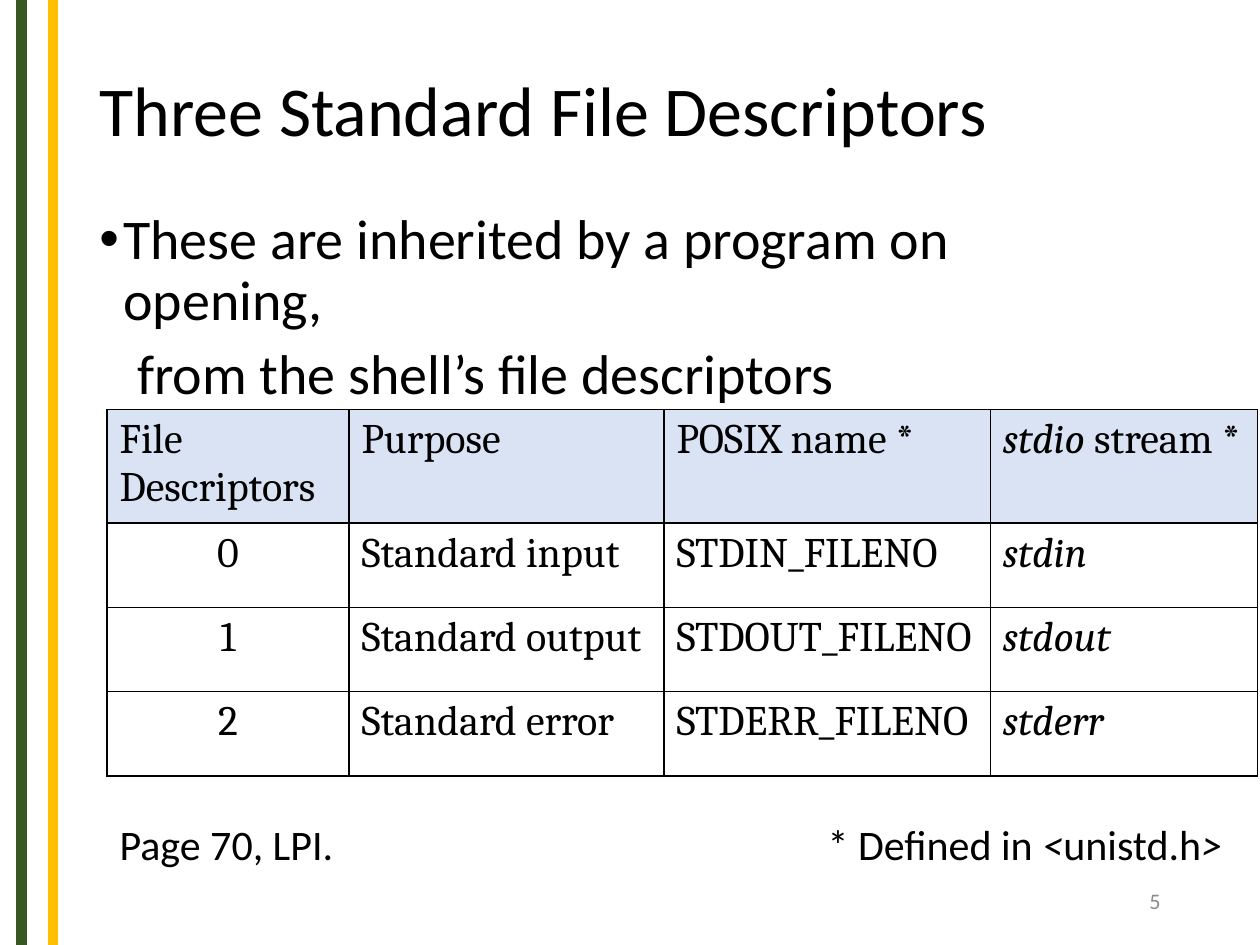
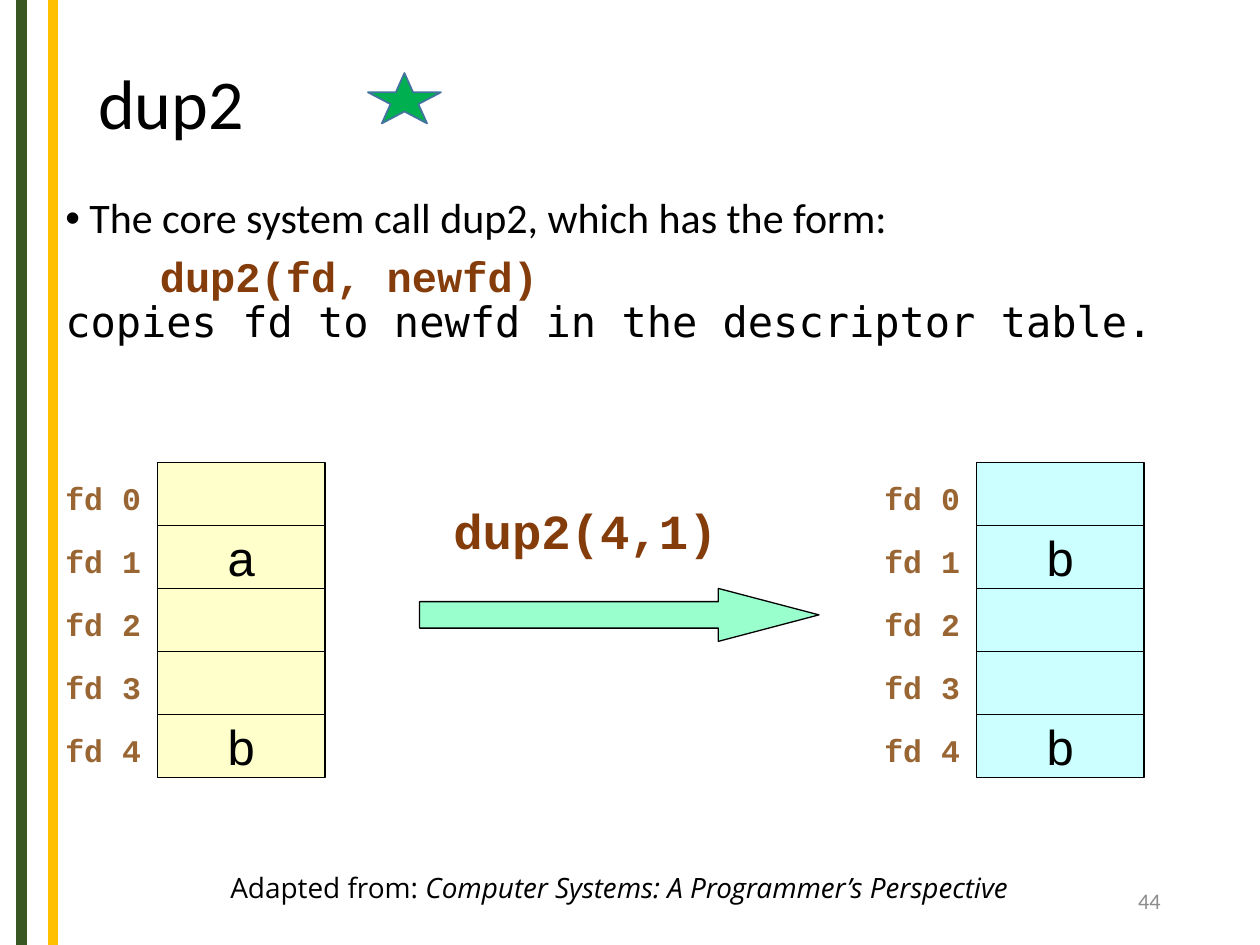
from lxml import etree
from pptx import Presentation
from pptx import util as u
from pptx.dml.color import RGBColor
from pptx.enum import shapes, text
from pptx.oxml import ns

COLORS = {
    "black": "000000",
    "green band": "385723",
    "gold band": "FFC000",
    "page number": "8C8C8C",
    "header": "DAE3F3",
    "code": "843C0B",
    "label": "996633",
    "before": "FFFFCC",
    "after": "CCFFFF",
    "arrow": "99FFCC",
    "star": "00B050",
    "star line": "43739E",
}
LEFT, CENTER, RIGHT = text.PP_ALIGN.LEFT, text.PP_ALIGN.CENTER, text.PP_ALIGN.RIGHT
ROW_HEIGHT = 0.5


def color(name):
    return RGBColor.from_string(COLORS[name])


def add_element(parent, tag, **attributes):
    return etree.SubElement(parent, ns.qn(tag), attributes)


def set_font(font, name, size, ink="black", bold=False):
    font.name = name
    font.size = u.Pt(size)
    font.bold = bold
    font.color.rgb = color(ink)


def add_runs(paragraph, pieces):
    for words, italic in pieces:
        run = paragraph.add_run()
        run.text = words
        run.font.italic = italic


def set_tab(paragraph, position):
    tabs = add_element(paragraph._p.get_or_add_pPr(), "a:tabLst")
    add_element(tabs, "a:tab", pos=str(u.Inches(position)), algn="l")


def set_indent(paragraph, margin, bullet=False):
    properties = paragraph._p.get_or_add_pPr()
    properties.set("marL", str(u.Inches(margin)))
    if bullet:
        properties.set("indent", str(-u.Inches(margin)))
        add_element(properties, "a:buFont", typeface="Arial")
        add_element(properties, "a:buChar", char="•")


def add_text_box(parent, box, wrap=True):
    frame = parent.shapes.add_textbox(*map(u.Inches, box)).text_frame
    frame.word_wrap = wrap
    return frame


def add_line_of_text(parent, box, words, font, size, ink="black", bold=False, wrap=True):
    paragraph = add_text_box(parent, box, wrap).paragraphs[0]
    paragraph.text = words
    paragraph.space_before = u.Pt(0.2 * size)
    set_font(paragraph.font, font, size, ink, bold)
    return paragraph


def add_body(slide, box, size, count):
    frame = add_text_box(slide, box)
    for _ in range(count - 1):
        frame.add_paragraph()
    for paragraph in frame.paragraphs:
        paragraph.line_spacing = 0.9
        paragraph.space_before = u.Pt(7.5)
        set_font(paragraph.font, "Calibri", size)
    set_indent(frame.paragraphs[0], 0.19, bullet=True)
    return frame.paragraphs


def add_preset(parent, kind, box, fill, line="black", width=0.75):
    shape = parent.shapes.add_shape(kind, *map(u.Inches, box))
    shape.shadow.inherit = False
    shape.fill.solid()
    shape.fill.fore_color.rgb = color(fill)
    shape.line.color.rgb = color(line)
    shape.line.width = u.Pt(width)
    return shape


def add_bands(slide):
    layout_tree = slide.slide_layout.shapes.element
    for x, name in ((0.17, "green band"), (0.42, "gold band")):
        band = slide.shapes.add_connector(
            shapes.MSO_CONNECTOR.STRAIGHT, u.Inches(x), 0, u.Inches(x), u.Inches(7.5))
        band.line.color.rgb = color(name)
        band.line.width = u.Pt(6)
        add_element(band.element.spPr, "a:effectLst")
        layout_tree.append(band.element)


def add_titled_slide(presentation, title, left, top, number):
    slide = presentation.slides.add_slide(presentation.slide_layouts[5])
    placeholder = slide.shapes.title
    placeholder.left, placeholder.top = u.Inches(left), u.Inches(top)
    placeholder.width, placeholder.height = u.Inches(8.62), u.Inches(1.45)
    frame = placeholder.text_frame
    frame.text = title
    frame.auto_size = text.MSO_AUTO_SIZE.NONE
    frame.vertical_anchor = text.MSO_ANCHOR.MIDDLE
    paragraph = frame.paragraphs[0]
    paragraph.alignment = LEFT
    paragraph.line_spacing = 0.9
    set_font(paragraph.font, "Calibri", 40)

    number_frame = add_text_box(slide, (7.06, 6.95, 2.25, 0.4))
    number_frame.vertical_anchor = text.MSO_ANCHOR.MIDDLE
    paragraph = number_frame.paragraphs[0]
    paragraph.text = str(number)
    paragraph.alignment = RIGHT
    set_font(paragraph.font, "Calibri", 12.7, "page number")
    return slide


def set_borders(cell):
    properties = cell._tc.get_or_add_tcPr()
    for index, side in enumerate(("a:lnL", "a:lnR", "a:lnT", "a:lnB")):
        border = add_element(properties, side, w=str(u.Pt(1)))
        fill = add_element(border, "a:solidFill")
        add_element(fill, "a:srgbClr", val=COLORS["black"])
        properties.insert(index, border)


def add_descriptor_table(slide):
    rows = [
        ("File\nDescriptors", "Purpose", "POSIX name *", None),
        ("0", "Standard input", "STDIN_FILENO", "stdin"),
        ("1", "Standard output", "STDOUT_FILENO", "stdout"),
        ("2", "Standard error", "STDERR_FILENO", "stderr"),
    ]
    widths = (1.92, 2.5, 2.59, 2.12)
    heights = (0.87, 0.67, 0.67, 0.67)
    table = slide.shapes.add_table(
        len(rows), len(widths), u.Inches(0.85), u.Inches(3.25),
        u.Inches(sum(widths)), u.Inches(sum(heights))).table
    table.first_row = table.horz_banding = False
    for column, width in zip(table.columns, widths):
        column.width = u.Inches(width)
    for row_index, row in enumerate(rows):
        table.rows[row_index].height = u.Inches(heights[row_index])
        for column_index, words in enumerate(row):
            cell = table.cell(row_index, column_index)
            if words is None:
                add_runs(cell.text_frame.paragraphs[0], [("stdio", True), (" stream *", False)])
            elif column_index == 3:
                add_runs(cell.text_frame.paragraphs[0], [(words, True)])
            else:
                cell.text = words
            for paragraph in cell.text_frame.paragraphs:
                set_font(paragraph.font, "Cambria", 24)
                if row_index and column_index == 0:
                    paragraph.alignment = CENTER
            if row_index:
                cell.fill.background()
            else:
                cell.fill.solid()
                cell.fill.fore_color.rgb = color("header")
            set_borders(cell)


def add_descriptor_stack(slide, left, fill, entries):
    group = slide.shapes.add_group_shape()
    for index in range(5):
        top = 3.67 + index * ROW_HEIGHT
        slot = add_preset(group, shapes.MSO_SHAPE.RECTANGLE,
                          (left + 0.83, top, 1.33, ROW_HEIGHT), fill)
        if index in entries:
            frame = slot.text_frame
            frame.word_wrap = False
            frame.vertical_anchor = text.MSO_ANCHOR.MIDDLE
            paragraph = frame.paragraphs[0]
            paragraph.text = entries[index]
            paragraph.alignment = CENTER
            paragraph.space_before = u.Pt(5.6)
            set_font(paragraph.font, "Arial", 28)
        add_line_of_text(group, (left, top + 0.08, 0.81, 0.4), f"fd {index}",
                         "Courier New", 18, "label", bold=True, wrap=False)


def build_descriptors_slide(presentation):
    slide = add_titled_slide(presentation, "Three Standard File Descriptors", 0.69, 0.18, 5)
    add_bands(slide)
    inherited, source = add_body(slide, (0.69, 1.63, 8.5, 1.25), 32, 2)
    inherited.text = "These are inherited by a program on opening,"
    source.text = "from the shell’s file descriptors"
    set_indent(source, 0.3)
    add_descriptor_table(slide)
    note = add_text_box(slide, (0.85, 6.45, 8.99, 0.5)).paragraphs[0]
    set_font(note.font, "Calibri", 24)
    set_tab(note, 5.62)
    add_runs(note, [("Page 70, LPI.\t* Defined in ", False), ("<", True),
                    ("unistd.h", False), (">", True)])


def build_dup2_slide(presentation):
    slide = add_titled_slide(presentation, "dup2", 0.68, 0.12, 44)
    intro, form = add_body(slide, (0.42, 1.52, 9.11, 4.63), 24, 2)
    intro.text = "The core system call dup2, which has the form:"
    set_tab(form, 0.75)
    call = form.add_run()
    call.text = "\tdup2(fd, newfd)"
    set_font(call.font, "Courier New", 24, "code", bold=True)
    form.add_line_break()
    effect = form.add_run()
    effect.text = "copies fd to newfd in the descriptor table."
    set_font(effect.font, "DejaVu Sans Mono", 24)

    add_descriptor_stack(slide, 0.42, "before", {1: "a", 4: "b"})
    add_descriptor_stack(slide, 6.92, "after", {1: "b", 4: "b"})
    arrow = add_preset(slide, shapes.MSO_SHAPE.RIGHT_ARROW, (3.33, 4.67, 3.17, 0.42), "arrow")
    arrow.adjustments[0], arrow.adjustments[1] = 0.5, 1.9
    add_line_of_text(slide, (3.5, 3.92, 2.3, 0.57), "dup2(4,1)",
                     "Courier New", 28, "code", bold=True, wrap=False)
    credit = add_line_of_text(slide, (1, 6.86, 7.83, 0.37), "", "Open Sans", 16)
    credit.alignment = CENTER
    add_runs(credit, [("Adapted from: ", False),
                      ("Computer Systems: A Programmer’s Perspective", True)])
    add_preset(slide, shapes.MSO_SHAPE.STAR_5_POINT, (2.92, 0.58, 0.58, 0.4),
               "star", "star line", 1)


def main():
    presentation = Presentation()
    presentation.slide_width = u.Inches(10)
    presentation.slide_height = u.Inches(7.5)
    build_descriptors_slide(presentation)
    build_dup2_slide(presentation)
    presentation.save("out.pptx")


if __name__ == "__main__":
    main()
